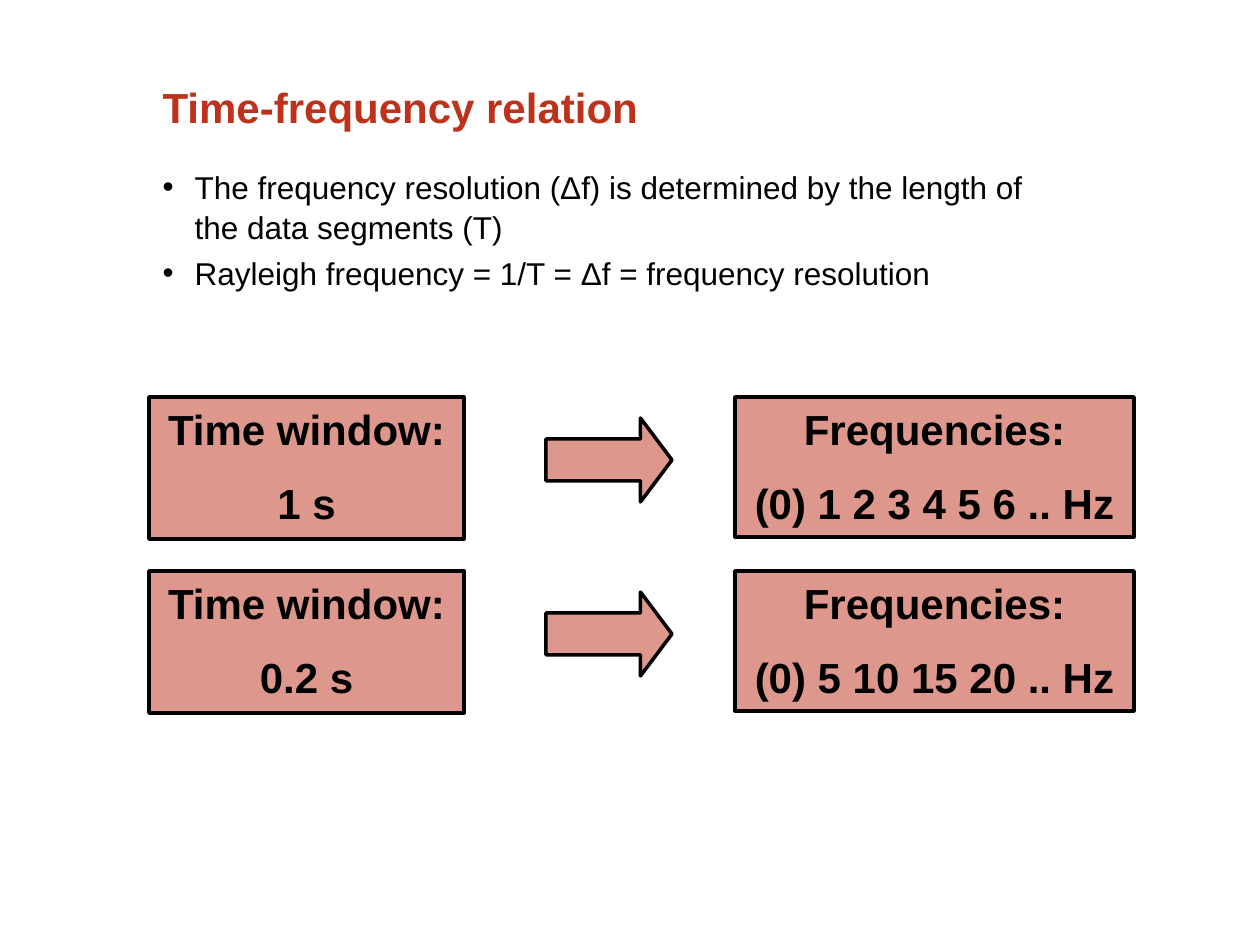
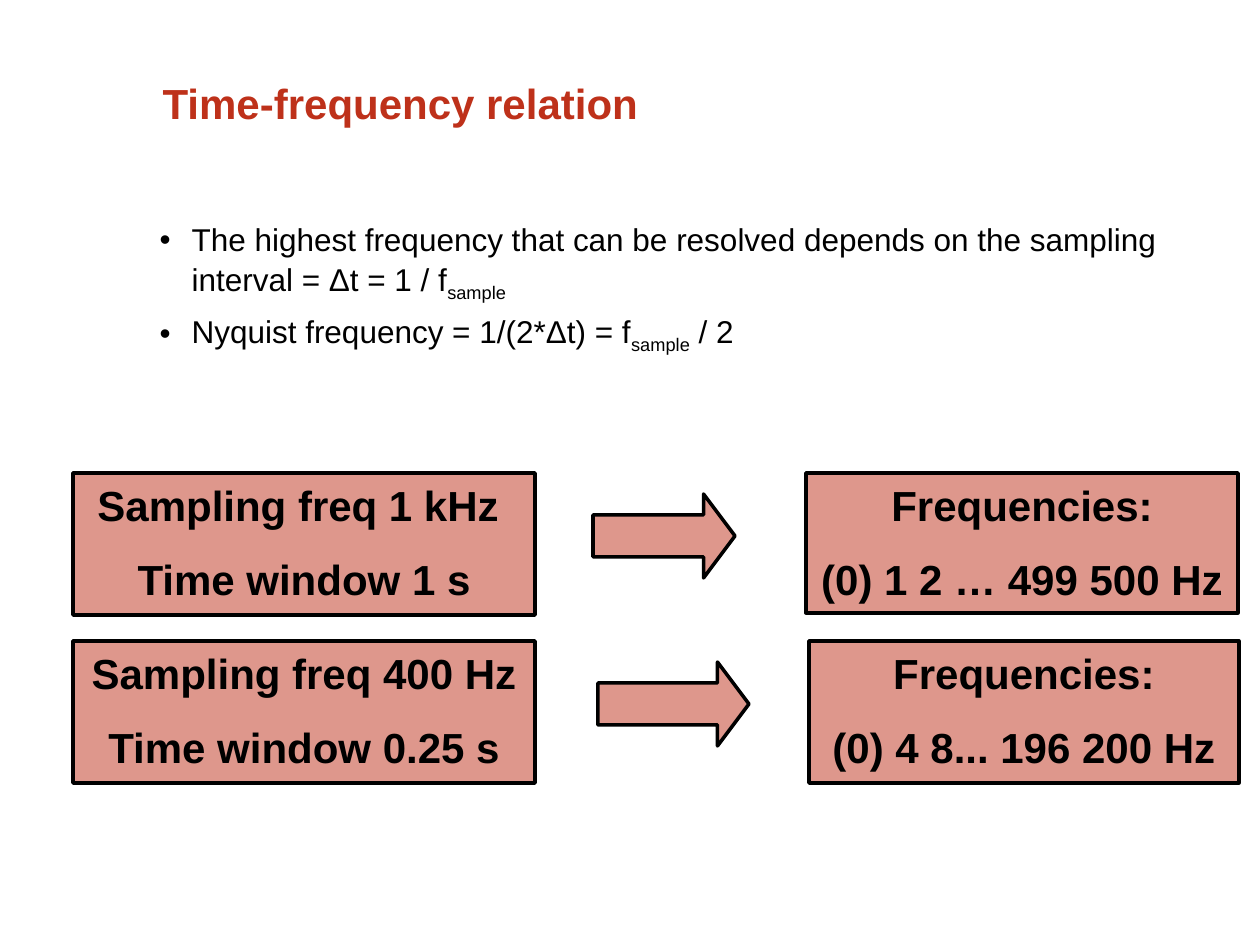
from dataclasses import dataclass

from lxml import etree
from pptx import Presentation
from pptx import util as u
from pptx.dml.color import RGBColor
from pptx.enum import shapes, text
from pptx.oxml.ns import qn

PX = 914400 / 126


@dataclass(frozen=True)
class Theme:
    """Colours, font and type sizes shared by the slides."""
    accent: str = "BE311A"
    ink: str = "000000"
    font: str = "Arial"
    heading: int = 24
    body: int = 18
    line: int = 2
    alpha: int = 50000


T = Theme()


def emu(*px):
    """Turn pixel lengths into EMU."""
    return [u.Emu(round(n * PX)) for n in px]


def move(sp, box):
    """Place a shape in a pixel box."""
    sp.left, sp.top, sp.width, sp.height = emu(*box)


def write(p, words, size=T.body, color=T.ink, bold=False, subscript=False):
    """Add one formatted run to a paragraph."""
    r = p.add_run()
    r.text = words
    r.font.name, r.font.size, r.font.bold = T.font, u.Pt(size), bold
    r.font.color.rgb = RGBColor.from_string(color)
    if subscript:
        r.font._element.set("baseline", "-25000")


def frame(sp):
    """Prepare a top-anchored, wrapping text frame."""
    tf = sp.text_frame
    tf.auto_size = text.MSO_AUTO_SIZE.NONE
    tf.vertical_anchor = text.MSO_ANCHOR.TOP
    tf.word_wrap = True
    return tf


def paragraphs(tf, items, gap):
    """Yield a paragraph for each item, with a gap between them."""
    for i, item in enumerate(items):
        p = tf.add_paragraph() if i else tf.paragraphs[0]
        p.space_before = u.Pt(gap if i else 0)
        yield p, item


def add_title(s, box, words):
    """Fill the title placeholder."""
    move(s.shapes.title, box)
    p = frame(s.shapes.title).paragraphs[0]
    p.alignment = text.PP_ALIGN.LEFT
    p.line_spacing = 0.72
    write(p, words, size=T.heading, color=T.accent, bold=True)


def add_bullet(p):
    """Give a paragraph a hanging round bullet."""
    pPr = p._p.get_or_add_pPr()
    indent = emu(32)[0]
    pPr.set("marL", str(indent))
    pPr.set("indent", str(-indent))
    color = etree.SubElement(pPr, qn("a:buClr"))
    etree.SubElement(color, qn("a:srgbClr"), val=T.ink)
    etree.SubElement(pPr, qn("a:buFont"), typeface=T.font)
    etree.SubElement(pPr, qn("a:buChar"), char="•")


def add_list(s, box, items):
    """Fill the body placeholder; every second part of an item is a subscript."""
    sp = s.placeholders[1]
    move(sp, box)
    for p, parts in paragraphs(frame(sp), items, 3.8):
        add_bullet(p)
        p.line_spacing = 1.05
        for i, part in enumerate(parts):
            write(p, part, subscript=i % 2 == 1)


def add_block(s, kind, box):
    """Add a half-transparent outlined shape."""
    sp = s.shapes.add_shape(kind, *emu(*box))
    sp.shadow.inherit = False
    sp.fill.solid()
    sp.fill.fore_color.rgb = RGBColor.from_string(T.accent)
    color = sp._element.spPr.find(".//" + qn("a:srgbClr"))
    etree.SubElement(color, qn("a:alpha"), val=str(T.alpha))
    sp.line.color.rgb = RGBColor.from_string(T.ink)
    sp.line.width = u.Pt(T.line)
    return sp


def add_card(s, box, lines):
    """Add a rectangle with centred bold lines."""
    sp = add_block(s, shapes.MSO_SHAPE.RECTANGLE, box)
    for p, line in paragraphs(frame(sp), lines, 13.5):
        p.alignment = text.PP_ALIGN.CENTER
        write(p, line, size=T.heading, bold=True)


def add_relation(s, top, settings, arrow, result):
    """Draw a row: settings card, arrow and resulting frequencies."""
    x, w, lines = settings
    add_card(s, (x, top, w, 142), lines)
    x, w = arrow
    sp = add_block(s, shapes.MSO_SHAPE.RIGHT_ARROW, (x, top + 21, w, 84))
    sp.adjustments[0], sp.adjustments[1] = 0.5, 0.375
    x, w, h, frequencies = result
    add_card(s, (x, top, w, h), ["Frequencies:", frequencies])


def add_relation_slide(prs, title_top, list_box, items, top, pitch, rows):
    """Build a slide with a title, a list and evenly spaced relations."""
    s = prs.slides.add_slide(prs.slide_layouts[1])
    add_title(s, (150, title_top, 1063, 59), "Time-frequency relation")
    add_list(s, list_box, items)
    for i, row in enumerate(rows):
        add_relation(s, top + i * pitch, *row)


def main():
    """Build and save the presentation."""
    prs = Presentation()
    prs.slide_width, prs.slide_height = emu(1260, 945)
    add_relation_slide(
        prs, 88, (150, 160, 911, 218),
        [["The frequency resolution (Δf) is determined by the length of the data segments (T)"],
         ["Rayleigh frequency = 1/T = Δf = frequency resolution"]],
        397, 174,
        [((149, 315, ["Time window:", window]), (546, 126), (735, 399, 140, frequencies))
         for window, frequencies in [("1 s", "(0) 1 2 3 4 5 6 .. Hz"),
                                     ("0.2 s", "(0) 5 10 15 20 .. Hz")]])
    add_relation_slide(
        prs, 84, (147, 212, 1068, 282),
        [["The highest frequency that can be resolved depends on the sampling "
          "interval = Δt = 1 / f", "sample"],
         ["Nyquist frequency = 1/(2*Δt) = f", "sample", " / 2"]],
        473, 168,
        [((73, 462, ["Sampling freq 1 kHz ", "Time window 1 s"]),
          (593, 142), (806, 432, 140, "(0) 1 2 … 499 500 Hz")),
         ((73, 462, ["Sampling freq 400 Hz", "Time window 0.25 s"]),
          (598, 151), (809, 430, 142, "(0) 4 8... 196 200 Hz"))])
    prs.save("out.pptx")


if __name__ == "__main__":
    main()
